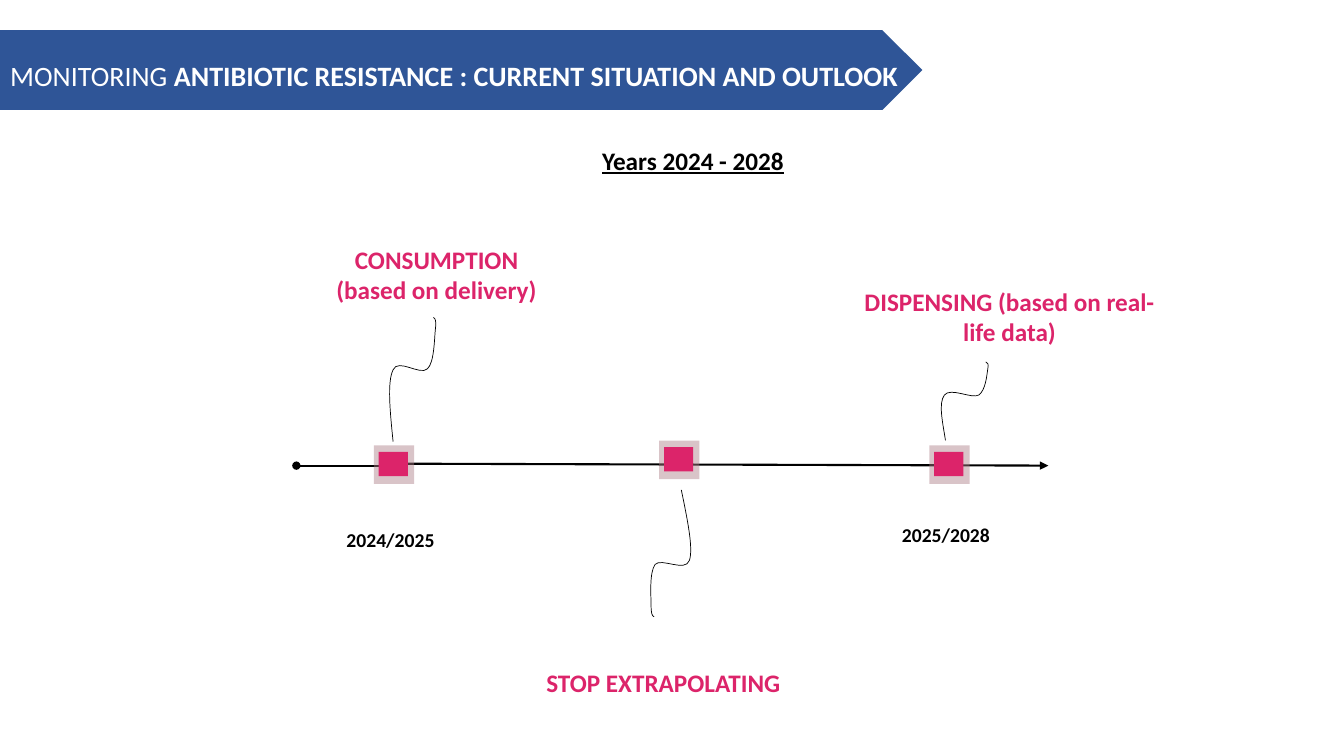
from lxml import etree
from pptx import Presentation
from pptx.dml.color import RGBColor
from pptx.enum.shapes import MSO_CONNECTOR, MSO_SHAPE
from pptx.enum.text import MSO_ANCHOR, MSO_AUTO_SIZE, PP_ALIGN
from pptx.oxml.ns import qn
from pptx.util import Pt

LEFT, CENTER = PP_ALIGN.LEFT, PP_ALIGN.CENTER
BOTTOM, NO_FIT = MSO_ANCHOR.BOTTOM, MSO_AUTO_SIZE.NONE
STRAIGHT = MSO_CONNECTOR.STRAIGHT
RECTANGLE, PENTAGON = MSO_SHAPE.RECTANGLE, MSO_SHAPE.PENTAGON
COLORS = {"banner": "2F5597", "pink": "DC246A", "halo": "AB7D87",
          "black": "000000", "white": "FFFFFF"}

presentation = Presentation()
presentation.slide_width, presentation.slide_height = Pt(960), Pt(540)
slide = presentation.slides.add_slide(presentation.slide_layouts[5])
shapes = slide.shapes


def write_text(shape, runs, alignment, color, size):
    frame = shape.text_frame
    settings = {"word_wrap": True, "auto_size": NO_FIT, "vertical_anchor": BOTTOM,
                "margin_left": Pt(3), "margin_right": Pt(3),
                "margin_top": 0, "margin_bottom": 0}
    for name, value in settings.items():
        setattr(frame, name, value)
    paragraph = frame.paragraphs[0]
    paragraph.alignment = alignment
    for text, style in runs:
        run = paragraph.add_run()
        run.text = text
        run.font.color.rgb = RGBColor.from_string(COLORS[color])
        for name, value in {"name": "Calibri", "size": Pt(size), **style}.items():
            setattr(run.font, name, value)


def add_block(kind, left, top, width, height, color):
    shape = shapes.add_shape(kind, Pt(left), Pt(top), Pt(width), Pt(height))
    shape.shadow.inherit = False
    shape.fill.solid()
    shape.fill.fore_color.rgb = RGBColor.from_string(COLORS[color])
    shape.line.fill.background()
    return shape


timeline = [(283.7, 331.2, 748.8, 332.6), (211.7, 332.6, 279.4, 332.6)]
for start_x, start_y, end_x, end_y in timeline:
    connector = shapes.add_connector(STRAIGHT, Pt(start_x), Pt(start_y), Pt(end_x), Pt(end_y))
    connector.line.color.rgb = RGBColor.from_string(COLORS["black"])
    connector.line.width = Pt(1.5)
    line_xml = connector.line._get_or_add_ln()
    etree.SubElement(line_xml, qn("a:headEnd"), type="oval")
    etree.SubElement(line_xml, qn("a:tailEnd"), type="triangle")
    etree.SubElement(connector._element.spPr, qn("a:effectLst"))

squiggles = [
    [(280.8, 315.4), (278.6, 293.8), (276.5, 272.9), (280.8, 264.2),
     (284.4, 255.6), (300.2, 268.6), (305.3, 263.5),
     (310.3, 259.2), (310.3, 241.2), (311, 235.4),
     (311.8, 229), (311, 227.5), (309.6, 226.8)],
    [(486.7, 349.9), (491, 370.8), (495.4, 391.7), (492.5, 400.3),
     (489.6, 409), (472.3, 398.2), (468, 403.2),
     (463.7, 409), (465.1, 426.2), (465.1, 432),
     (465.1, 438.5), (465.8, 439.9), (467.3, 440.6)],
    [(675.4, 314.6), (673.2, 301), (670.3, 288), (674.6, 282.2),
     (679, 276.5), (694.1, 285.1), (699.1, 282.2),
     (704.2, 278.6), (704.9, 267.8), (705.6, 263.5),
     (706.3, 259.9), (705.6, 259.2), (704.2, 258.5)],
]
for points in squiggles:
    start, *controls = [(Pt(x), Pt(y)) for x, y in points]
    builder = shapes.build_freeform(*start)
    builder.add_line_segments(controls, close=False)
    squiggle = builder.convert_to_shape()
    squiggle.shadow.inherit = False
    squiggle.fill.background()
    squiggle.line.color.rgb = RGBColor.from_string(COLORS["black"])
    squiggle.line.width = Pt(0.5)
    segments = list(squiggle._element.iter(qn("a:lnTo")))
    for first in range(0, len(segments), 3):
        curve = etree.SubElement(segments[first].getparent(), qn("a:cubicBezTo"))
        for segment in segments[first:first + 3]:
            curve.append(segment[0])
            segment.getparent().remove(segment)

labels = [
    ("Years 2024 - 2028", 427, 95, 178.6, 30.2, LEFT, "black", 18, True),
    ("2024/2025", 229.7, 365, 98.6, 28.8, CENTER, "black", 14, False),
    ("2025/2028", 626.4, 361.4, 98.6, 28.8, CENTER, "black", 14, False),
    ("CONSUMPTION (based on delivery)", 229.7, 155.5, 164.2, 61.9, CENTER, "pink", 18, False),
    ("STOP EXTRAPOLATING", 384.5, 427.7, 178.6, 70.6, CENTER, "pink", 18, False),
    ("DISPENSING (based on real-life data)", 610.6, 116.6, 221, 131, CENTER, "pink", 18, False),
]
for text, left, top, width, height, alignment, color, size, underline in labels:
    label = shapes.add_textbox(Pt(left), Pt(top), Pt(width), Pt(height))
    write_text(label, [(text, {"bold": True, "underline": underline})], alignment, color, size)

for left, top in [(663.8, 318.2), (470.9, 314.8), (267.1, 318.2)]:
    halo = add_block(RECTANGLE, left, top, 28.8, 27.4, "halo")
    halo_color = halo._element.spPr.find(qn("a:solidFill"))[0]
    etree.SubElement(halo_color, qn("a:alpha"), val="45000")
    add_block(RECTANGLE, left + 3.4, top + 4.6, 20.9, 17.3, "pink")

add_block(PENTAGON, 0, 21.6, 658.8, 56.9, "banner")

title = shapes.title
title.left, title.top, title.width, title.height = Pt(4.3), Pt(31.7), Pt(668.9), Pt(33.8)
write_text(title, [
    ("MONITORING", {"bold": False}),
    (" ANTIBIOTIC RESISTANCE : CURRENT SITUATION AND OUTLOOK", {"bold": True}),
], LEFT, "white", 20)
title._element.getparent().append(title._element)

presentation.save("out.pptx")
